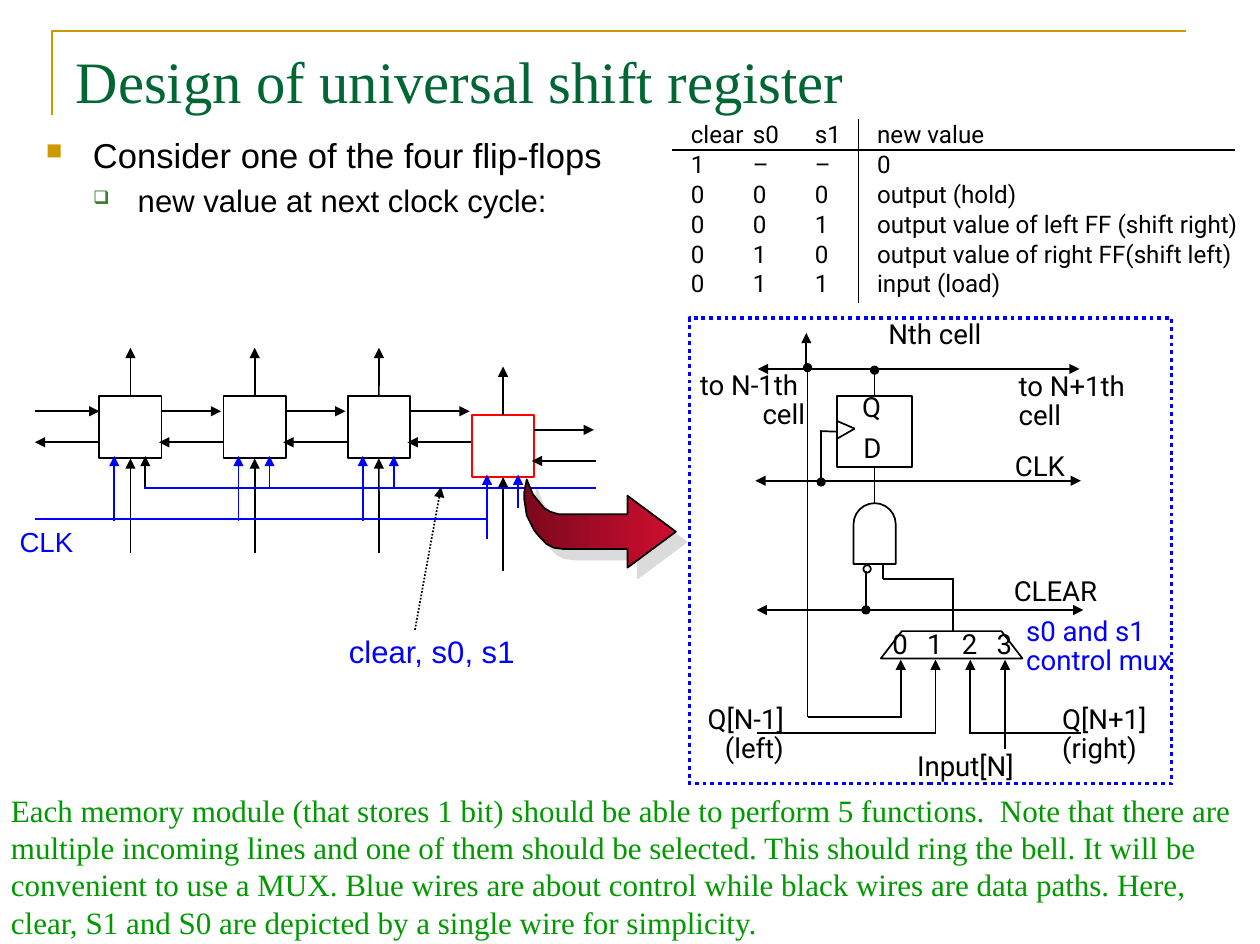
import lxml.etree
import pptx
import pptx.dml.color
import pptx.enum.dml
import pptx.enum.shapes
import pptx.enum.text
import pptx.oxml
import pptx.oxml.ns
import pptx.util

COLOURS = {"black": "000000", "white": "FFFFFF", "blue": "0000FF", "red": "FF0000", "gold": "CC9900",
           "title": "006633", "note": "009900", "sub": "3B812F", "dark": "7C081D", "bright": "CF0E30"}
ALIGN = pptx.enum.text.PP_ALIGN
SHAPE = pptx.enum.shapes.MSO_SHAPE
DOTTED = pptx.enum.dml.MSO_LINE.ROUND_DOT
QN = pptx.oxml.ns.qn
TOP, LEFT, BOTTOM = 0, 1, 2


class Diagram:
    """Draws styled elements on one slide, on a grid of 2.54 cm units."""

    def __init__(self, prs):
        self.s = prs.slides.add_slide(prs.slide_layouts[5])
        self.shapes = self.s.shapes

    def cm(self, *values):
        return [pptx.util.Cm(2.54 * v) for v in values]

    def rgb(self, colour):
        return pptx.dml.color.RGBColor.from_string(COLOURS[colour])

    def put(self, obj, values):
        for name, value in values.items():
            setattr(obj, name, value)

    def paragraph(self, p, text, size, font, colour, **values):
        p.text = text
        self.put(p, values)
        for r in p.runs:
            self.put(r.font, {"size": pptx.util.Pt(size), "name": font})
            r.font.color.rgb = self.rgb(colour)

    def frame(self, tf, x=0.1, y=0.05, wrap=True):
        dx, dy = self.cm(x, y)
        self.put(tf, {"margin_left": dx, "margin_right": dx, "margin_top": dy, "margin_bottom": dy,
                      "word_wrap": wrap, "vertical_anchor": pptx.enum.text.MSO_ANCHOR.TOP})

    def title(self, text, *box):
        sp = self.shapes.title
        self.put(sp, dict(zip(("left", "top", "width", "height"), self.cm(*box))))
        self.frame(sp.text_frame)
        self.paragraph(sp.text_frame.paragraphs[0], text, 34, "Times New Roman", "title", alignment=ALIGN.LEFT)

    def text(self, text, *box, size=16, font="Arial", colour="black", fill=None):
        sp = self.shapes.add_textbox(*self.cm(*box))
        self.frame(sp.text_frame, wrap=fill is not None)
        if fill:
            sp.fill.solid()
            sp.fill.fore_color.rgb = self.rgb(fill)
        self.paragraph(sp.text_frame.paragraphs[0], text, size, font, colour)

    def label(self, text, *box, align=ALIGN.LEFT, colour="black", spacing=17):
        sp = self.shapes.add_textbox(*self.cm(*box))
        self.frame(sp.text_frame, 0.02, 0.03, False)
        self.paragraph(sp.text_frame.paragraphs[0], text, 16, "Roboto", colour,
                       alignment=align, line_spacing=pptx.util.Pt(spacing))

    def bullets(self, items, *box):
        tf = self.shapes.add_textbox(*self.cm(*box)).text_frame
        self.frame(tf)
        for i, (text, size, char, colour, percent, margin, hang) in enumerate(items):
            p = tf.add_paragraph() if i else tf.paragraphs[0]
            pPr = p._p.get_or_add_pPr()
            left, indent = self.cm(margin, -hang)
            pPr.set("marL", str(left))
            pPr.set("indent", str(indent))
            clr = lxml.etree.SubElement(pPr, QN("a:buClr"))
            lxml.etree.SubElement(clr, QN("a:srgbClr"), val=COLOURS[colour])
            lxml.etree.SubElement(pPr, QN("a:buSzPct"), val=str(percent * 1000))
            lxml.etree.SubElement(pPr, QN("a:buChar"), char=char)
            self.paragraph(p, text, size, "Arial", "black")
            if i:
                p.space_before = pptx.util.Pt(0.2 * size)

    def outline(self, sp, colour, width, dash=None):
        sp.line.color.rgb = self.rgb(colour)
        sp.line.width = pptx.util.Pt(width)
        if dash:
            sp.line.dash_style = dash

    def shape(self, kind, *box, fill=None, colour="black", width=1, dash=None, adjust=None):
        sp = self.shapes.add_shape(kind, *self.cm(*box))
        sp.shadow.inherit = False
        for i, value in enumerate(adjust or ()):
            sp.adjustments[i] = value
        if fill:
            sp.fill.solid()
            sp.fill.fore_color.rgb = self.rgb(fill)
        else:
            sp.fill.background()
        self.outline(sp, colour, width, dash)
        return sp

    def dot(self, x, y, fill="black"):
        self.shape(SHAPE.OVAL, x - 0.03, y - 0.03, 0.06, 0.06, fill=fill)

    def line(self, *ends, colour="black", arrows="", dash=None, start=None, end=None):
        c = self.shapes.add_connector(pptx.enum.shapes.MSO_CONNECTOR.STRAIGHT, *self.cm(*ends))
        if start:
            c.begin_connect(*start)
        if end:
            c.end_connect(*end)
        self.outline(c, colour, 1, dash)
        spPr = c._element.spPr
        for tag in arrows.split():
            lxml.etree.SubElement(spPr.find(QN("a:ln")), QN("a:" + tag), type="triangle")
        lxml.etree.SubElement(spPr, QN("a:effectLst"))

    def arrow(self, *ends, **values):
        self.line(*ends, arrows="tailEnd", **values)

    def bus(self, *ends):
        self.line(*ends, arrows="headEnd tailEnd")

    def freeform(self, points, colour, width, close):
        points = [self.cm(*point) for point in points]
        fb = self.shapes.build_freeform(*points[0])
        fb.add_line_segments(points[1:], close=close)
        sp = fb.convert_to_shape()
        sp.shadow.inherit = False
        sp.fill.background()
        self.outline(sp, colour, width)
        return sp

    def block_arrow(self, points):
        sp = self.freeform(points, "black", 1, True)
        sp.fill.gradient()
        sp.fill.gradient_angle = 0
        for stop, colour, position in zip(sp.fill.gradient_stops, ("dark", "bright"), (0, 1)):
            stop.color.rgb = self.rgb(colour)
            stop.position = position
        effects = sp._element.spPr.find(QN("a:effectLst"))
        shadow = lxml.etree.SubElement(effects, QN("a:outerShdw"), blurRad="0", algn="ctr", rotWithShape="0",
                                       dist=str(pptx.util.Pt(8.5)), dir="2700000")
        lxml.etree.SubElement(shadow, QN("a:srgbClr"), val="DBDBDB")

    def table(self, rows, x, y, columns, height):
        t = self.shapes.add_table(len(rows), len(columns), *self.cm(x, y, sum(w for w, _ in columns),
                                                                    height * len(rows))).table
        self.put(t, {"first_row": False, "horz_banding": False})
        t._tbl.tblPr.find(QN("a:tableStyleId")).text = "{2D5ABB26-0587-4C30-8999-92F81FD0307C}"
        for j, (width, margin) in enumerate(columns):
            t.columns[j].width, = self.cm(width)
            for i, row in enumerate(rows):
                t.rows[i].height, = self.cm(height)
                cell = t.cell(i, j)
                cell.fill.background()
                self.put(cell, {"margin_left": self.cm(margin)[0], "margin_right": 0,
                                "margin_top": 0, "margin_bottom": 0})
                self.paragraph(cell.text_frame.paragraphs[0], row[j], 14, "Roboto", "black",
                               line_spacing=pptx.util.Pt(17))


def draw_register(d):
    for i in range(4):
        x, y = 0.8 + i, 3.34 if i == 3 else 3.19
        mid = x + 0.25
        cell = d.shape(SHAPE.RECTANGLE, x, y, 0.5, 0.5, colour="red" if i == 3 else "black",
                       width=1.5 if i == 3 else 1)
        d.arrow(x + 0.5, y + 0.12, x + 0.98, y + 0.12)
        d.arrow(x + 1, y + 0.37, x + 0.48, y + 0.37)
        d.arrow(mid, y, mid, y - 0.39, start=(cell, TOP))
        d.arrow(mid, y + 1.26, mid, y + 0.5, end=(cell, BOTTOM))
        d.arrow(x + 0.12, y + 1, x + 0.12, y + 0.48, colour="blue")
        d.arrow(x + 0.37, y + 0.75, x + 0.37, y + 0.48, colour="blue" if i else "black")
    d.arrow(0.28, 3.31, 0.8, 3.31)
    d.arrow(0.8, 3.56, 0.28, 3.56)
    d.line(4.8, 3.93, 1.16, 3.93, colour="blue")
    d.line(3.92, 4.18, 0.28, 4.18, colour="blue")
    d.text("CLK", 0.06, 4.18, 0.63, 0.37, colour="blue")
    d.arrow(3.34, 5.07, 3.55, 3.92, dash=DOTTED)
    d.text("clear, s0, s1", 2.71, 5.04, 1.55, 0.4, size=18, colour="blue")


def draw_cell(d):
    d.shape(SHAPE.RECTANGLE, 5.55, 2.56, 3.88, 3.75, colour="blue", width=2.25, dash=DOTTED)
    ff = d.shape(SHAPE.RECTANGLE, 6.74, 3.19, 0.6, 0.57, fill="white")
    d.shape(SHAPE.ROUND_2_SAME_RECTANGLE, 6.87, 4.05, 0.34, 0.49, fill="white", adjust=(0.5, 0))
    d.shape(SHAPE.TRAPEZOID, 7.09, 5.08, 1.14, 0.22, adjust=(0.77,))
    d.line(7.04, 2.97, 7.04, 3.19, end=(ff, TOP))
    d.line(7.04, 3.76, 7.04, 4.05, start=(ff, BOTTOM))
    d.line(6.74, 3.47, 6.6, 3.47, start=(ff, LEFT))
    for ends in ((6.74, 3.39, 6.88, 3.45), (6.74, 3.53, 6.88, 3.45), (6.61, 3.47, 6.61, 3.87),
                 (6.09, 5.9, 7.53, 5.9), (7.8, 5.9, 8.7, 5.9), (6.5, 5.77, 7.26, 5.77),
                 (6.5, 2.97, 6.5, 5.77), (7.11, 4.54, 7.11, 4.66), (7.11, 4.66, 7.68, 4.66),
                 (7.67, 4.66, 7.67, 5.08), (6.97, 4.6, 6.97, 4.91)):
        d.line(*ends)
    for ends in ((6.1, 2.97, 8.69, 2.97), (6.08, 3.87, 8.7, 3.87), (6.09, 4.91, 8.72, 4.91)):
        d.bus(*ends)
    for i, bottom in enumerate((5.77, 5.91, 5.91, 6.03)):
        x = 7.25 + 0.28 * i
        d.arrow(x, bottom, x, 5.31)
        d.label(str(i), x - 0.13, 5.05, 0.25, 0.38, align=ALIGN.CENTER)
    d.arrow(6.49, 2.97, 6.49, 2.68)
    for x, y in ((6.61, 3.88), (6.97, 4.91), (6.5, 2.96), (7.04, 2.98)):
        d.dot(x, y)
    d.dot(6.98, 4.58, fill=None)
    for text, *box in (("D", 6.93, 3.47, 0.26, 0.38), ("Q", 6.92, 3.14, 0.28, 0.38),
                       ("CLK", 8.15, 3.61, 0.83, 0.38), ("CLEAR", 8.14, 4.62, 1.11, 0.38),
                       ("Q[N+1]\n(right)", 8.53, 5.65, 0.83, 0.61), ("to N+1th \ncell", 8.18, 2.97, 1.07, 0.61)):
        d.label(text, *box)
    for text, *box in (("Q[N-1]\n(left)", 5.5, 5.65, 0.83, 0.61), ("Input[N]", 6.92, 6.03, 1.26, 0.38),
                       ("to N-1th \ncell", 5.33, 2.96, 1.17, 0.61)):
        d.label(text, *box, align=ALIGN.RIGHT)
    d.label("Nth cell", 6.54, 2.48, 1.38, 0.44, align=ALIGN.RIGHT, spacing=22)
    d.label("s0 and s1\ncontrol mux", 8.24, 4.94, 1.51, 0.61, colour="blue")


def main():
    prs = pptx.Presentation()
    prs.slide_width, prs.slide_height = pptx.util.Cm(25.76), pptx.util.Cm(19.3)
    d = Diagram(prs)
    d.freeform([(0.42, 0.93), (0.42, 0.25), (9.55, 0.25)], "gold", 1.5, False)
    d.title("Design of universal shift register", 0.51, 0.31, 9.12, 1.26)
    d.bullets([("Consider one of the four flip-flops", 20, "■", "gold", 65, 0.38, 0.38),
               ("new value at next clock cycle:", 18, "❑", "sub", 60, 0.74, 0.36)], 0.27, 1.03, 9.12, 5)
    d.table([("clear", "s0", "s1", "new value"), ("1", "–", "–", "0"), ("0", "0", "0", "output (hold)"),
             ("0", "0", "1", "output value of left FF (shift right)"),
             ("0", "1", "0", "output value of right FF(shift left)"), ("0", "1", "1", "input (load)")],
            5.41, 0.97, [(0.65, 0.15), (0.5, 0), (0.35, 0), (3.15, 0.15)], 0.24)
    d.line(5.41, 1.21, 9.94, 1.21)
    d.line(6.91, 0.96, 6.91, 2.44)
    draw_register(d)
    draw_cell(d)
    d.text("Each memory module (that stores 1 bit) should be able to perform 5 functions.  Note that there are "
           "multiple incoming lines and one of them should be selected. This should ring the bell. It will be "
           "convenient to use a MUX. Blue wires are about control while black wires are data paths. Here, "
           "clear, S1 and S0 are depicted by a single wire for simplicity.",
           -0.01, 6.32, 10.14, 1.28, size=18, font="Times New Roman", colour="note", fill="white")
    d.block_arrow([(5.05, 3.99), (5.05, 4.14), (4.5, 4.14), (4.43, 4.12), (4.38, 4.09), (4.33, 4.03), (4.29, 3.98),
                   (4.26, 3.91), (4.24, 3.86), (4.22, 3.96), (4.22, 4.02), (4.24, 4.15), (4.27, 4.21), (4.3, 4.27),
                   (4.35, 4.33), (4.4, 4.38), (4.46, 4.41), (4.54, 4.42), (5.05, 4.42), (5.05, 4.57), (5.44, 4.28)])
    prs.save("out.pptx")


if __name__ == "__main__":
    main()
